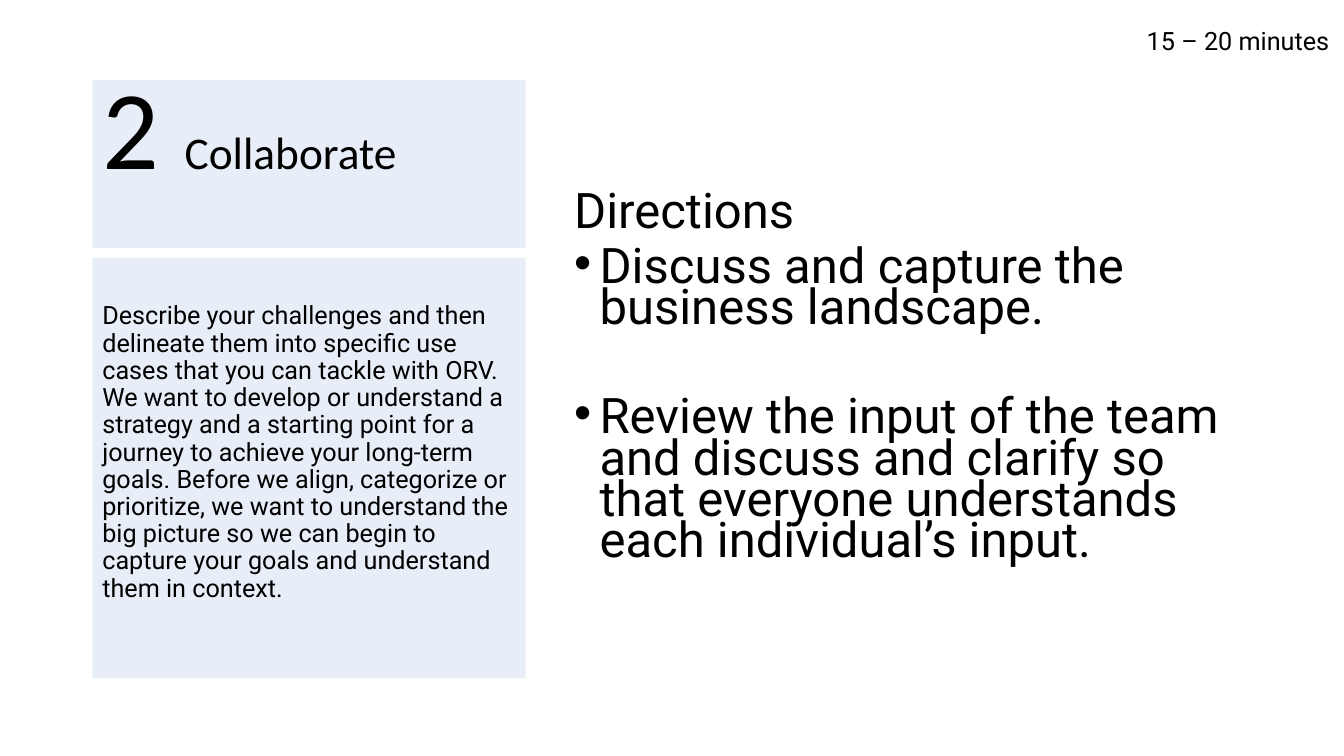
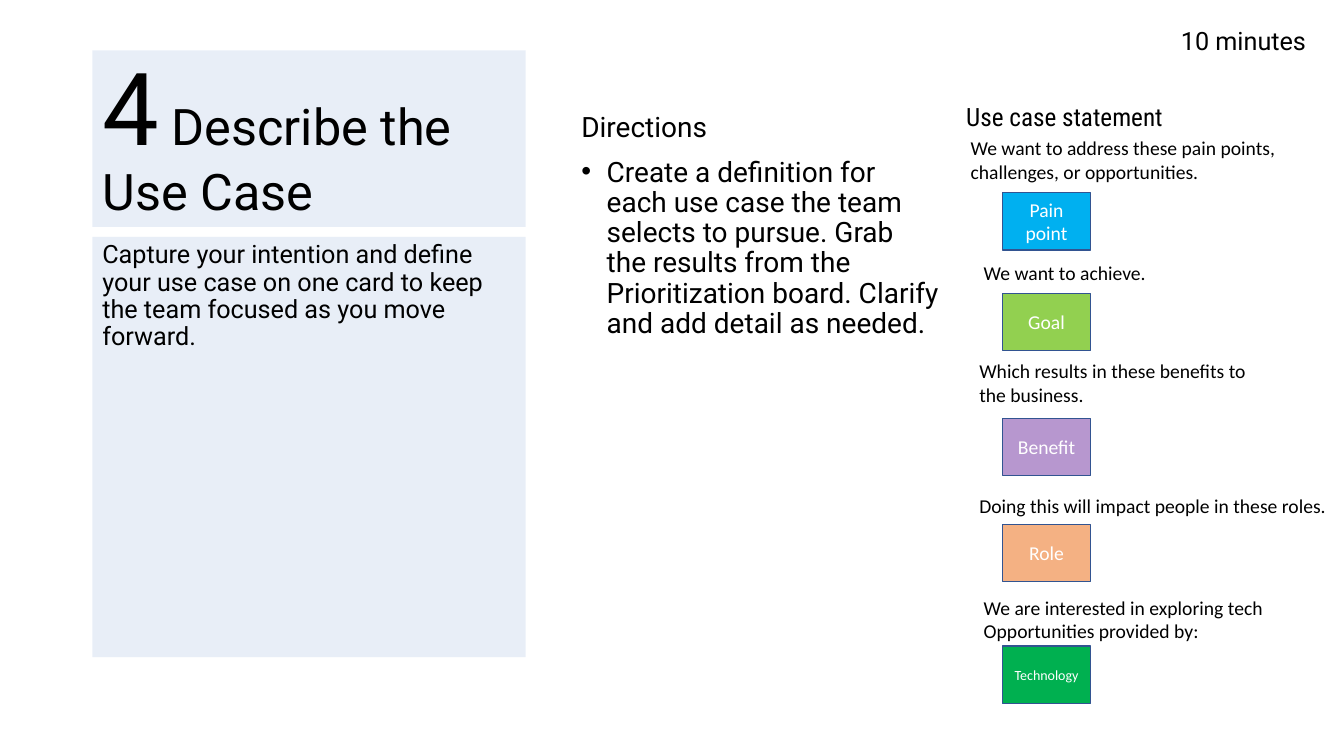
from lxml import etree
from pptx import Presentation
from pptx.dml.color import RGBColor
from pptx.enum.shapes import MSO_SHAPE
from pptx.enum.text import MSO_ANCHOR, MSO_AUTO_SIZE, PP_ALIGN
from pptx.oxml.ns import qn
from pptx.util import Cm, Pt

RECT = MSO_SHAPE.RECTANGLE
TOP, MIDDLE, BOTTOM = MSO_ANCHOR.TOP, MSO_ANCHOR.MIDDLE, MSO_ANCHOR.BOTTOM
LEFT, CENTER = PP_ALIGN.LEFT, PP_ALIGN.CENTER
FIT_SHAPE, NO_FIT = MSO_AUTO_SIZE.SHAPE_TO_FIT_TEXT, MSO_AUTO_SIZE.NONE

COLORS = {
    "text": "000000",
    "card_text": "FFFFFF",
    "card_line": "325491",
    "panel": "B4C7E7",
    "pain": "00B0F0",
    "goal": "92D050",
    "benefit": "7030A0",
    "role": "F4B183",
    "technology": "00B050",
}
BODY_FONT, CARD_FONT, HEAD_FONT = "Roboto", "Calibri", "Roboto Condensed"


def rgb(name):
    return RGBColor.from_string(COLORS[name])


def write(p, text, size=18, font=BODY_FONT, color="text", align=LEFT,
          spacing=None, before=0, bullet=False):
    p.alignment = align
    p.space_before = Pt(before)
    if spacing:
        p.line_spacing = spacing
    if bullet:
        pPr = p._p.get_or_add_pPr()
        pPr.set("marL", str(Cm(0.64)))
        pPr.set("indent", str(-Cm(0.64)))
        etree.SubElement(pPr, qn("a:buFont")).set("typeface", "Arial")
        etree.SubElement(pPr, qn("a:buChar")).set("char", "•")
    r = p.add_run()
    r.text = text
    r.font.size = Pt(size)
    r.font.name = font
    r.font.color.rgb = rgb(color)


def fill(sp, color, opacity=100):
    sp.fill.solid()
    sp.fill.fore_color.rgb = rgb(color)
    if opacity < 100:
        clr = sp.element.spPr.find(qn("a:solidFill")).find(qn("a:srgbClr"))
        etree.SubElement(clr, qn("a:alpha")).set("val", str(opacity * 1000))


class Deck:
    panel_left, panel_width, panel_height = 2.33, 10.92, 10.59
    panel_gap = 0.25
    card_left, card_width, card_height = 25.27, 2.21, 1.45

    def __init__(self):
        self.prs = Presentation()
        self.prs.slide_width = Cm(33.87)
        self.prs.slide_height = Cm(19.05)
        self.s = None

    def new_slide(self):
        self.s = self.prs.slides.add_slide(self.prs.slide_layouts[5])

    def title(self, top, height, runs, bottom_inset=0.13):
        sp = self.s.shapes.title
        sp.left, sp.top = Cm(self.panel_left), Cm(top)
        sp.width, sp.height = Cm(self.panel_width), Cm(height)
        fill(sp, "panel", 30)
        tf = sp.text_frame
        tf.auto_size = NO_FIT
        tf.vertical_anchor = BOTTOM
        tf.margin_bottom = Cm(bottom_inset)
        for text, size, font in runs:
            write(tf.paragraphs[0], text, size=size, font=font, spacing=0.9)
        self.panel_top = top + height + self.panel_gap

    def rect(self, left, top, width, height, color, opacity=100):
        sp = self.s.shapes.add_shape(RECT, Cm(left), Cm(top), Cm(width), Cm(height))
        sp.shadow.inherit = False
        fill(sp, color, opacity)
        return sp

    def summary(self, text, top_inset=0.13):
        sp = self.rect(self.panel_left, self.panel_top, self.panel_width,
                       self.panel_height, "panel", 30)
        sp.line.fill.background()
        tf = sp.text_frame
        tf.word_wrap = True
        tf.vertical_anchor = TOP
        tf.margin_top = Cm(top_inset)
        write(tf.paragraphs[0], text, spacing=0.9, before=10)

    def text(self, left, top, width, height, lines, wrap=False, **fmt):
        sp = self.s.shapes.add_textbox(Cm(left), Cm(top), Cm(width), Cm(height))
        tf = sp.text_frame
        tf.word_wrap = wrap
        tf.auto_size = FIT_SHAPE
        for i, line in enumerate(lines):
            write(tf.add_paragraph() if i else tf.paragraphs[0], line, **fmt)

    def directions(self, left, top, width, height, items, size, spacing, gap=10):
        sp = self.s.shapes.add_textbox(Cm(left), Cm(top), Cm(width), Cm(height))
        tf = sp.text_frame
        tf.word_wrap = True
        write(tf.paragraphs[0], "Directions", size=size, spacing=spacing, before=10)
        for i, item in enumerate(items):
            write(tf.add_paragraph(), item, size=size, spacing=spacing,
                  before=gap if i else 10, bullet=True)

    def duration(self, left, width, text):
        self.text(left, 0.51, width, 1.02, [text])

    def card(self, top, text, color, size=14, opacity=100):
        sp = self.rect(self.card_left, top, self.card_width, self.card_height,
                       color, opacity)
        sp.line.color.rgb = rgb("card_line")
        sp.line.width = Pt(1)
        tf = sp.text_frame
        tf.word_wrap = True
        tf.vertical_anchor = MIDDLE
        write(tf.paragraphs[0], text, size=size, font=CARD_FONT,
              color="card_text", align=CENTER)


def collaborate(deck):
    deck.new_slide()
    deck.title(2.01, 4.24, [("2 ", 80, CARD_FONT), ("Collaborate", 32.4, CARD_FONT)],
               bottom_inset=1.38)
    deck.directions(14.22, 4.8, 17.15, 12.17, [
        "Discuss and capture the business landscape.",
        "Review the input of the team and discuss and clarify so that everyone "
        "understands each individual’s input.",
    ], size=35, spacing=0.7, gap=48.7)
    deck.summary(
        "Describe your challenges and then delineate them into specific use cases "
        "that you can tackle with ORV. We want to develop or understand a strategy "
        "and a starting point for a journey to achieve your long-term goals. Before "
        "we align, categorize or prioritize, we want to understand the big picture "
        "so we can begin to capture your goals and understand them in context.",
        top_inset=1.14)
    deck.duration(28.65, 5.21, "15 – 20 minutes")


def describe_use_case(deck):
    deck.new_slide()
    deck.title(1.27, 4.45, [("4", 72, BODY_FONT),
                            (" Describe the Use Case", 36, BODY_FONT)])
    deck.directions(14.4, 2.74, 9.53, 13.54, [
        "Create a definition for each use case the team selects to pursue. Grab the "
        "results from the Prioritization board. Clarify and add detail as needed.",
    ], size=20, spacing=0.9)
    deck.summary("Capture your intention and define your use case on one card to keep "
                 "the team focused as you move forward.")
    deck.duration(29.51, 3.78, "10 minutes")
    deck.text(24.1, 2.44, 5.64, 1.02, ["Use case statement"], font=HEAD_FONT)

    labels = [
        (24.21, 3.3, 8.28, ["We want to address these pain points, challenges, "
                            "or opportunities."], True),
        (24.54, 6.45, 4.65, ["We want to achieve."], False),
        (24.43, 8.92, 7.42, ["Which results in these benefits to",
                             "the business."], False),
        (24.43, 12.32, 9.35, ["Doing this will impact people in these roles."], False),
        (24.54, 14.88, 7.75, ["We are interested in exploring tech",
                              "Opportunities provided by:"], False),
    ]
    for left, top, width, lines, wrap in labels:
        height = 1.45 if wrap or len(lines) > 1 else 0.86
        deck.text(left, top, width, height, lines, wrap=wrap, size=14, font=CARD_FONT)

    deck.card(4.85, "Pain point", "pain")
    deck.card(7.39, "Goal", "goal")
    deck.card(10.54, "Benefit", "benefit", opacity=50)
    deck.card(13.21, "Role", "role")
    deck.card(16.28, "Technology", "technology", size=10)


def main():
    deck = Deck()
    collaborate(deck)
    describe_use_case(deck)
    deck.prs.save("out.pptx")


if __name__ == "__main__":
    main()
